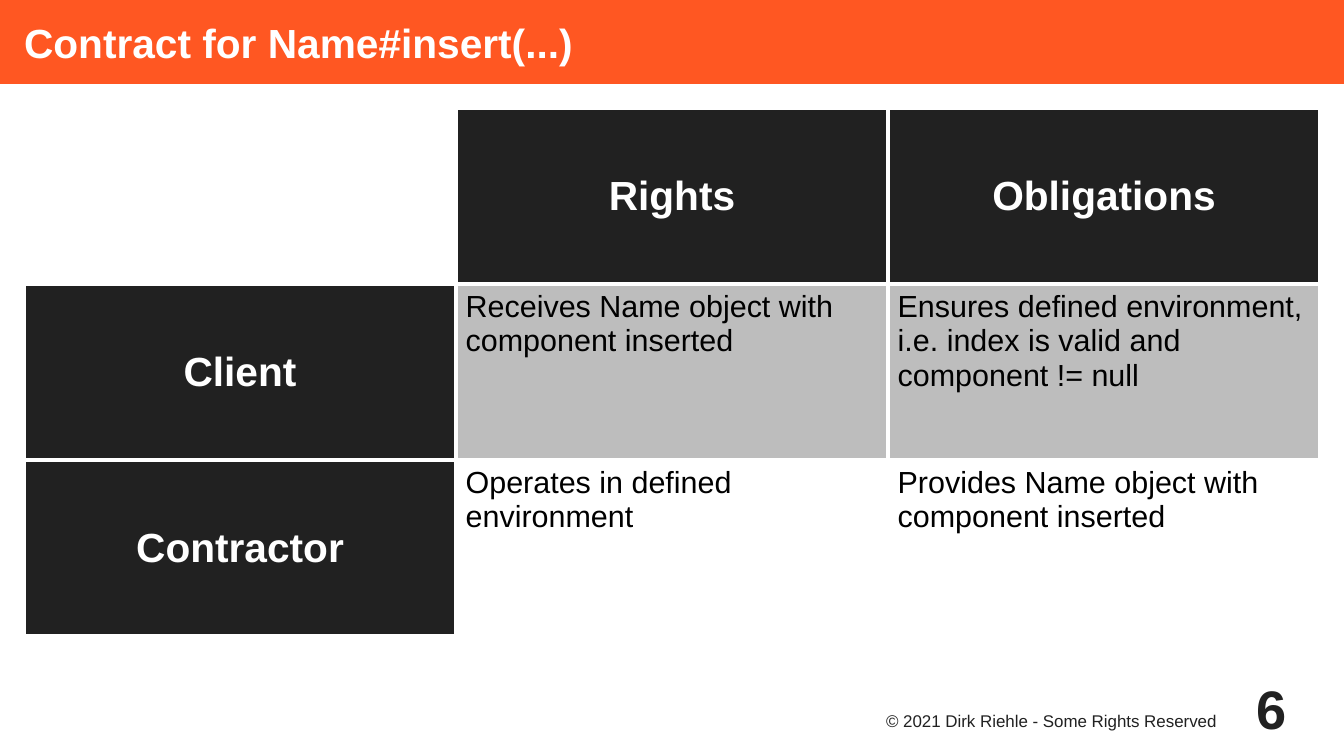
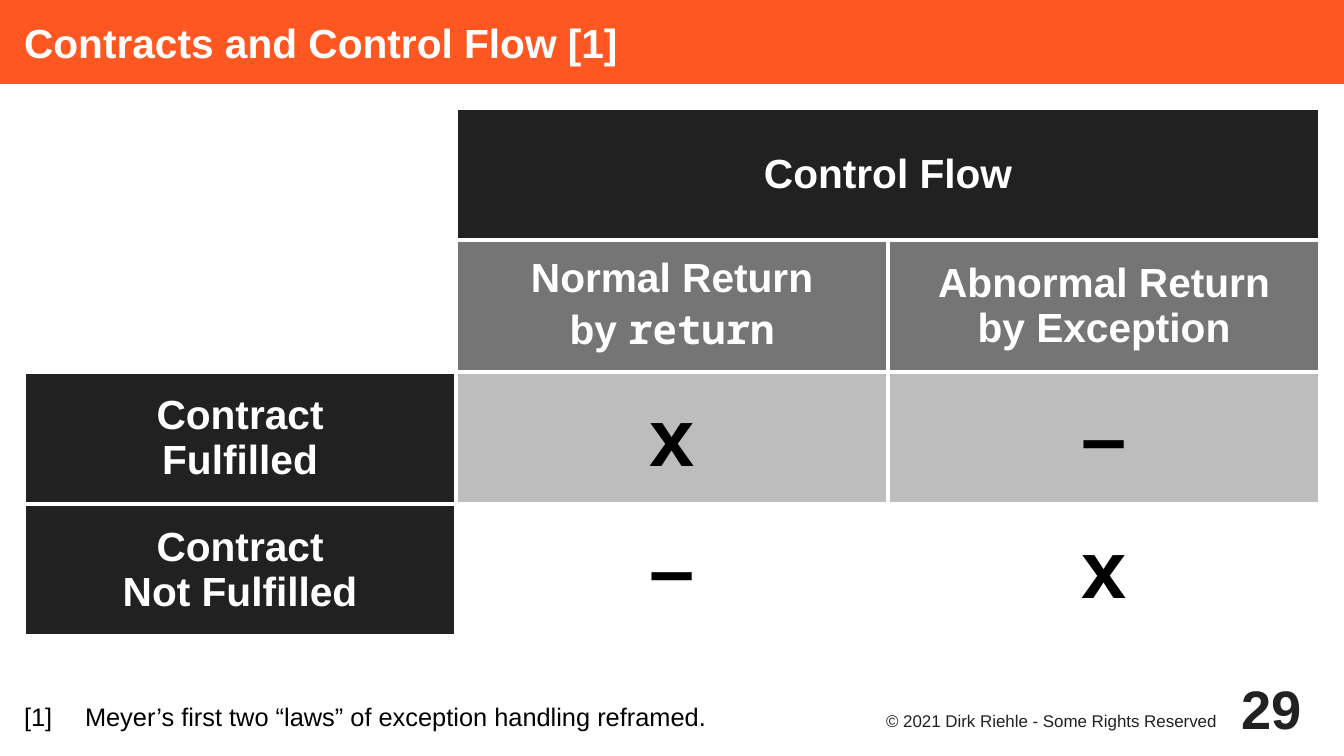
from lxml import etree
from pptx import Presentation
from pptx.dml.color import RGBColor
from pptx.enum import text
from pptx.oxml import ns
from pptx.util import Pt

LEFT, CENTER = text.PP_ALIGN.LEFT, text.PP_ALIGN.CENTER
TOP, MIDDLE, BOTTOM = text.MSO_ANCHOR.TOP, text.MSO_ANCHOR.MIDDLE, text.MSO_ANCHOR.BOTTOM
ORANGE, DARK, GRAY, LIGHT = "FF5722", "212121", "757575", "BDBDBD"
WHITE, BLACK = "FFFFFF", "000000"
WIDTH, HEIGHT = 793.7, 446.46
TABLE_LEFT, TABLE_TOP, TABLE_WIDTH, TABLE_HEIGHT = 14.2, 63.8, 765.4, 311.8
CELL_MARGINS = (5.7, 3.6, 5.7, 3.6)
BORDER = 2.27


def color(hex_value):
    return RGBColor.from_string(hex_value)


def write(frame, content, size, hex_value, bold=False, align=LEFT):
    for index, line in enumerate(content.split("\n")):
        para = frame.paragraphs[0] if index == 0 else frame.add_paragraph()
        for position, piece in enumerate(line.split("`")):
            if piece:
                span = para.add_run()
                span.text = piece
                if position % 2:
                    span.font.name = "Noto Sans Mono"
        para.alignment = align
        para.font.name = "Arial"
        para.font.size = Pt(size)
        para.font.bold = bold
        para.font.color.rgb = color(hex_value)


heading = (24, WHITE, True, CENTER)
body = (18, BLACK, False, LEFT)
mark = (48, BLACK, True, CENTER)

pages = [
    {
        "title": "Contract for Name#insert(...)",
        "number": "6",
        "rows": [
            [("", WHITE, body), ("Rights", DARK, heading), ("Obligations", DARK, heading)],
            [
                ("Client", DARK, heading),
                ("Receives Name object with component inserted", LIGHT, body),
                ("Ensures defined environment, i.e. index is valid and\ncomponent != null", LIGHT, body),
            ],
            [
                ("Contractor", DARK, heading),
                ("Operates in defined environment", WHITE, body),
                ("Provides Name object with component inserted", WHITE, body),
            ],
        ],
    },
    {
        "title": "Contracts and Control Flow [1]",
        "number": "29",
        "merge": ((0, 1), (0, 2)),
        "note": "[1]\tMeyer’s first two “laws” of exception handling reframed.",
        "rows": [
            [("", WHITE, body), ("Control Flow", DARK, heading), ("", DARK, heading)],
            [
                ("", WHITE, body),
                ("Normal Return\nby `return`", GRAY, heading),
                ("Abnormal Return\nby Exception", GRAY, heading),
            ],
            [("Contract\nFulfilled", DARK, heading), ("x", LIGHT, mark), ("–", LIGHT, mark)],
            [("Contract\nNot Fulfilled", DARK, heading), ("–", WHITE, mark), ("x", WHITE, mark)],
        ],
    },
]

deck = Presentation()
deck.slide_width, deck.slide_height = Pt(WIDTH), Pt(HEIGHT)

for content in pages:
    page = deck.slides.add_slide(deck.slide_layouts[5])
    title = page.shapes.title
    title.left, title.top, title.width, title.height = Pt(0), Pt(0), Pt(WIDTH), Pt(49.6)
    title.fill.solid()
    title.fill.fore_color.rgb = color(ORANGE)

    rows = content["rows"]
    columns = len(rows[0])
    table = page.shapes.add_table(
        len(rows), columns, Pt(TABLE_LEFT), Pt(TABLE_TOP), Pt(TABLE_WIDTH), Pt(TABLE_HEIGHT)
    ).table
    table.first_row = table.horz_banding = False
    for column in table.columns:
        column.width = Pt(TABLE_WIDTH / columns)
    for row, cells in zip(table.rows, rows):
        row.height = Pt(TABLE_HEIGHT / len(rows))
        for cell, (words, fill, style) in zip(row.cells, cells):
            cell.margin_left, cell.margin_top, cell.margin_right, cell.margin_bottom = map(Pt, CELL_MARGINS)
            cell.vertical_anchor = TOP if style == body else MIDDLE
            properties = cell._tc.get_or_add_tcPr()
            for side in ("lnL", "lnR", "lnT", "lnB"):
                line = etree.SubElement(properties, ns.qn("a:" + side), w=str(int(Pt(BORDER))))
                solid = etree.SubElement(line, ns.qn("a:solidFill"))
                etree.SubElement(solid, ns.qn("a:srgbClr"), val=WHITE)
            cell.fill.solid()
            cell.fill.fore_color.rgb = color(fill)
            write(cell.text_frame, words, *style)
    if "merge" in content:
        first, last = content["merge"]
        table.cell(*first).merge(table.cell(*last))

    labels = [
        ((510.2, 418.1, 226.8, 21.3), (0, 1.4, 5.7, 0), TOP,
         ("© 2021 Dirk Riehle - Some Rights Reserved", 10, DARK, False, CENTER)),
        ((722.8, 396.9, 56.7, 42.5), (0, 0, 0, 0), MIDDLE,
         (content["number"], 32, DARK, True, CENTER)),
    ]
    if "note" in content:
        labels.insert(0, ((0, 333.1, 566.9, 113.36), (14.2, 0, 0, 14.2), BOTTOM,
                          (content["note"], 15, BLACK)))
    frames = [(title.text_frame, (14.2, 0, 0, 0), MIDDLE, (content["title"], 24, WHITE, True))]
    for place, margins, anchor, wording in labels:
        box = page.shapes.add_textbox(*map(Pt, place))
        frames.append((box.text_frame, margins, anchor, wording))
    for frame, margins, anchor, wording in frames:
        frame.word_wrap = True
        frame.auto_size = text.MSO_AUTO_SIZE.NONE
        frame.margin_left, frame.margin_top, frame.margin_right, frame.margin_bottom = map(Pt, margins)
        frame.vertical_anchor = anchor
        write(frame, *wording)

deck.save("out.pptx")
